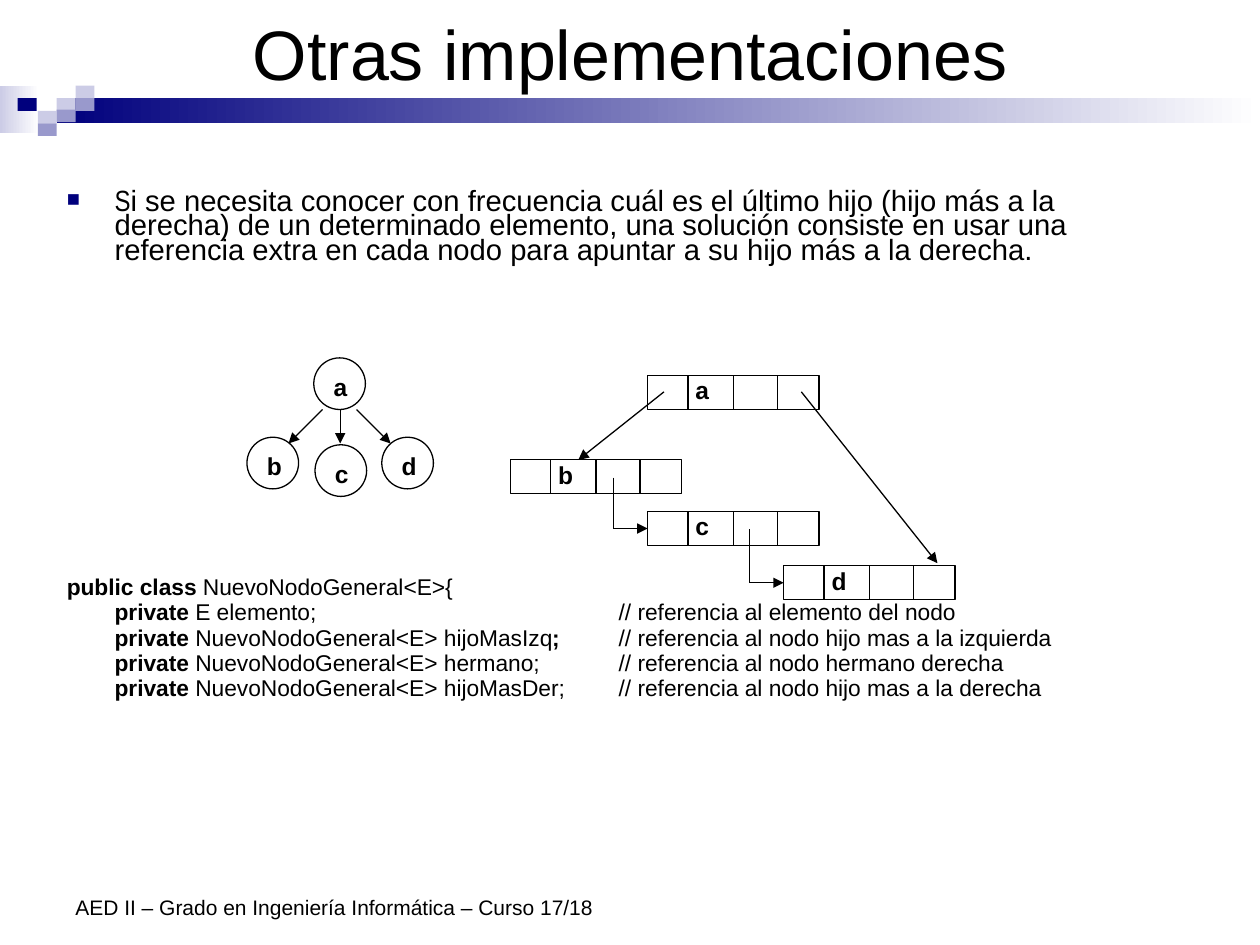
import dataclasses
import typing

import lxml.etree
import pptx
import pptx.dml.color
import pptx.enum.shapes
import pptx.enum.text
import pptx.oxml.ns
import pptx.util

Inches = pptx.util.Inches
Pt = pptx.util.Pt
qn = pptx.oxml.ns.qn
SHAPE = pptx.enum.shapes.MSO_SHAPE
ANCHOR = pptx.enum.text.MSO_ANCHOR
ALIGN = pptx.enum.text.PP_ALIGN
BLACK, WHITE = "000000", "FFFFFF"
NAVY, MID, PALE = "00007D", "9999CC", "CCCCE6"


@dataclasses.dataclass
class Node:
    label: str
    x: float
    y: float


def rgb(code: str) -> pptx.dml.color.RGBColor:
    return pptx.dml.color.RGBColor.from_string(code)


def add_run(para, text: str, size: float, bold: bool = False, font: str = "Arial") -> None:
    run = para.add_run()
    run.text = text
    run.font.size = Pt(size)
    run.font.bold = bold
    run.font.name = font
    run.font.color.rgb = rgb(BLACK)


def set_frame(frame, left: float, top: float, right: float, low: float, anchor) -> None:
    frame.word_wrap = True
    frame.auto_size = pptx.enum.text.MSO_AUTO_SIZE.NONE
    frame.margin_left, frame.margin_top = Inches(left), Inches(top)
    frame.margin_right, frame.margin_bottom = Inches(right), Inches(low)
    frame.vertical_anchor = anchor


def place(shape, x: float, y: float, w: float, h: float) -> None:
    shape.left, shape.top = Inches(x), Inches(y)
    shape.width, shape.height = Inches(w), Inches(h)


def add_block(slide, kind, x: float, y: float, w: float, h: float,
              fill: str, fade: bool = False, line: bool = False):
    shape = slide.shapes.add_shape(kind, Inches(x), Inches(y), Inches(w), Inches(h))
    shape.shadow.inherit = False
    if fade:
        shape.fill.gradient()
        shape.fill.gradient_angle = 0
        for stop, code in zip(shape.fill.gradient_stops, (fill, WHITE)):
            stop.color.rgb = rgb(code)
    else:
        shape.fill.solid()
        shape.fill.fore_color.rgb = rgb(fill)
    if line:
        shape.line.color.rgb = rgb(BLACK)
        shape.line.width = Pt(0.75)
    else:
        shape.line.fill.background()
    return shape


def add_line(slide, x1: float, y1: float, x2: float, y2: float, arrow: bool = False):
    line = slide.shapes.add_connector(pptx.enum.shapes.MSO_CONNECTOR.STRAIGHT,
                                      Inches(x1), Inches(y1), Inches(x2), Inches(y2))
    line.line.color.rgb = rgb(BLACK)
    line.line.width = Pt(0.75)
    props = line._element.spPr
    if arrow:
        lxml.etree.SubElement(props.find(qn("a:ln")), qn("a:tailEnd"), type="triangle")
    lxml.etree.SubElement(props, qn("a:effectLst"))
    return line


def add_label(shape, text: str, left: float, top: float, right: float) -> None:
    set_frame(shape.text_frame, left, top, right, top, ANCHOR.TOP)
    para = shape.text_frame.paragraphs[0]
    para.alignment = ALIGN.LEFT
    add_run(para, text, 14, True)


def add_circle(slide, node: Node) -> None:
    shape = add_block(slide, SHAPE.OVAL, node.x, node.y, 0.41, 0.41, WHITE, line=True)
    add_label(shape, node.label, 0.1, 0.05, 0.1)


def add_record(slide, node: Node):
    """Draw a box of four cells with the label in the second one."""
    shape = add_block(slide, SHAPE.RECTANGLE, node.x, node.y, 1.36, 0.27, WHITE, line=True)
    add_label(shape, node.label, 0.38, 0, 0)
    for step in (0.32, 0.68, 1.03):
        add_line(slide, node.x + step, node.y, node.x + step, node.y + 0.27)
    return shape


def set_para(para, before: float, bullet: bool = False) -> None:
    para.line_spacing = 0.7
    para.space_before = Pt(before)
    props = para._p.get_or_add_pPr()
    props.set("marL", str(Inches(0.38)))
    props.set("indent", str(Inches(-0.38)))
    props.set("defTabSz", str(Inches(1)))
    if bullet:
        color = lxml.etree.SubElement(props, qn("a:buClr"))
        lxml.etree.SubElement(color, qn("a:srgbClr"), val=NAVY)
        lxml.etree.SubElement(props, qn("a:buSzPct"), val="75000")
        lxml.etree.SubElement(props, qn("a:buFont"), typeface="Arial")
        lxml.etree.SubElement(props, qn("a:buChar"), char="■")
    else:
        lxml.etree.SubElement(props, qn("a:buNone"))
        tabs = lxml.etree.SubElement(props, qn("a:tabLst"))
        for stop in range(8):
            lxml.etree.SubElement(tabs, qn("a:tab"), pos=str(Inches(stop)), algn="l")


def add_code(frame, runs: typing.List[typing.Tuple[str, bool]], before: float) -> None:
    para = frame.add_paragraph()
    set_para(para, before)
    for text, bold in runs:
        add_run(para, text, 13, bold)


def main() -> None:
    deck = pptx.Presentation()
    deck.slide_width, deck.slide_height = Inches(10), Inches(7.5)
    slide = deck.slides.add_slide(deck.slide_layouts[1])

    # Header band and its small squares
    add_block(slide, SHAPE.RECTANGLE, 0, 0.68, 0.31, 0.38, PALE, fade=True)
    add_block(slide, SHAPE.RECTANGLE, 0.45, 0.78, 9.55, 0.2, NAVY, fade=True)
    for x, y, fill in ((0.45, 0.78, PALE), (0.6, 0.68, PALE), (0.6, 0.78, MID),
                       (0.3, 0.88, PALE), (0.14, 0.78, NAVY), (0.45, 0.87, MID),
                       (0.3, 0.98, MID)):
        add_block(slide, SHAPE.RECTANGLE, x, y, 0.15, 0.1, fill)

    # Title
    title = slide.shapes.title
    place(title, 0.5, 0.05, 9, 0.73)
    set_frame(title.text_frame, 0.1, 0.05, 0.1, 0.05, ANCHOR.MIDDLE)
    title.text_frame.paragraphs[0].alignment = ALIGN.CENTER
    add_run(title.text_frame.paragraphs[0], "Otras implementaciones", 40)

    # Explanation and class code
    body = slide.placeholders[1]
    place(body, 0.43, 1.32, 9, 5.51)
    frame = body.text_frame
    set_frame(frame, 0.1, 0.2, 0.3, 0.05, ANCHOR.TOP)
    para = frame.paragraphs[0]
    set_para(para, 0, bullet=True)
    add_run(para, "S", 16.7, font="Arial Narrow")
    add_run(para, "i se necesita conocer con frecuencia cuál es el último hijo (hijo más a la "
            "derecha) de un determinado elemento, una solución consiste en usar una "
            "referencia extra en cada nodo para apuntar a su hijo más a la derecha.", 16.7)
    add_code(frame, [("public class", True), (" NuevoNodoGeneral<E>{", False)], 180)
    for field, end, note in (
            ("E elemento;", "\t\t\t", "elemento del nodo"),
            ("NuevoNodoGeneral<E> hijoMasIzq", ";\t", "nodo hijo mas a la izquierda"),
            ("NuevoNodoGeneral<E> hermano;", "\t", "nodo hermano derecha"),
            ("NuevoNodoGeneral<E> hijoMasDer;", "\t", "nodo hijo mas a la derecha")):
        runs = [("\tprivate ", True), (field, False), (end, True),
                ("// referencia al " + note, False)]
        add_code(frame, runs, 3.5)

    # Tree
    for node in (Node("a", 2.49, 2.84), Node("b", 1.96, 3.47),
                 Node("c", 2.5, 3.53), Node("d", 3.03, 3.47)):
        add_circle(slide, node)
    for start, end in ((2.56, 2.29), (2.7, 2.7), (2.83, 3.1)):
        add_line(slide, start, 3.25, end, 3.52, arrow=True)

    # Linked records
    boxes = {node.label: add_record(slide, node) for node in (
        Node("a", 5.14, 2.98), Node("b", 4.05, 3.65),
        Node("d", 6.22, 4.49), Node("c", 5.14, 4.06))}
    add_line(slide, 5.27, 3.11, 4.59, 3.65, arrow=True)
    add_line(slide, 6.36, 3.11, 7.44, 4.47, arrow=True)
    for x, top, edge, label in ((4.87, 3.79, 5.14, "c"), (5.95, 4.2, 6.22, "d")):
        box = boxes[label]
        low = (box.top + box.height / 2) / Inches(1)
        add_line(slide, x, top, x, low)
        add_line(slide, x, low, edge, low, arrow=True).end_connect(box, 1)

    # Footer
    foot = slide.shapes.add_textbox(Inches(0.5), Inches(6.83), Inches(4.5), Inches(0.52))
    set_frame(foot.text_frame, 0.1, 0.05, 0.1, 0.05, ANCHOR.BOTTOM)
    add_run(foot.text_frame.paragraphs[0],
            "AED II – Grado en Ingeniería Informática – Curso 17/18", 12)

    deck.save("out.pptx")


if __name__ == "__main__":
    main()
